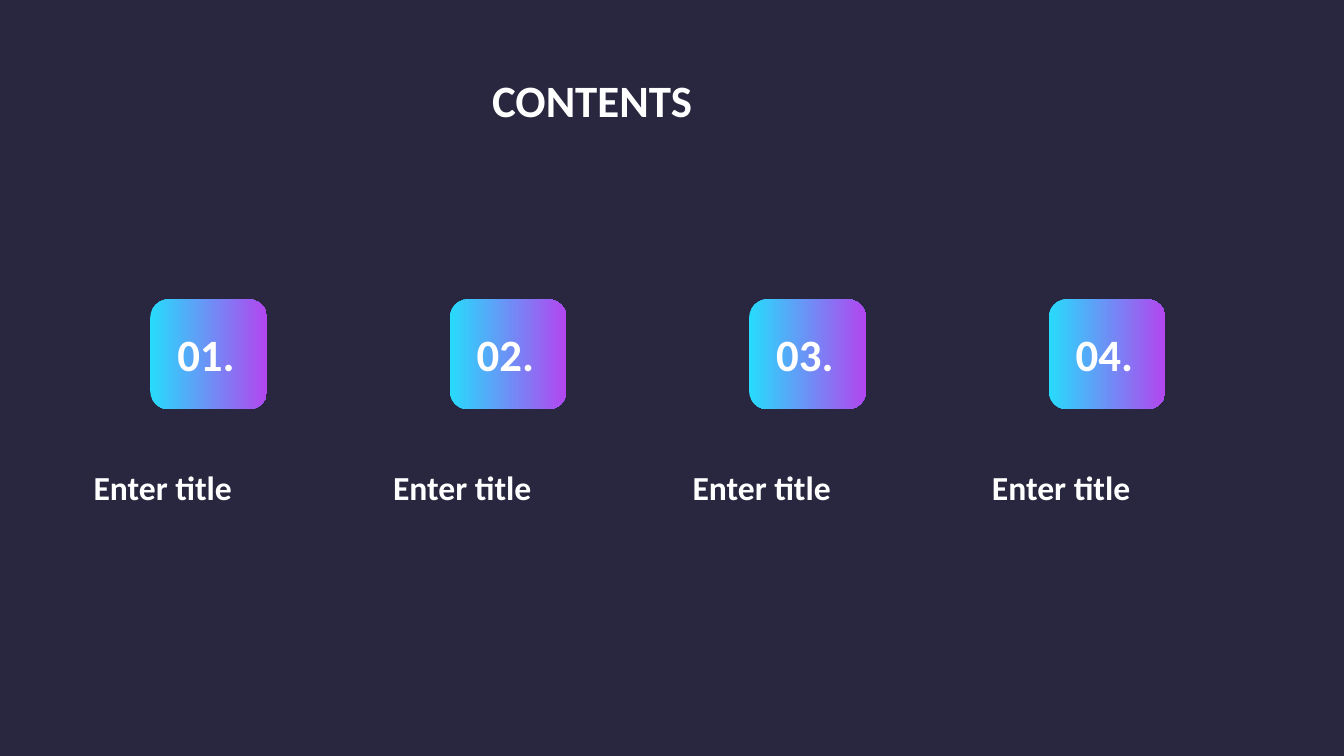
from pptx import Presentation
from pptx.dml.color import RGBColor
from pptx.enum.shapes import MSO_SHAPE
from pptx.enum.text import MSO_ANCHOR, MSO_AUTO_SIZE, PP_ALIGN
from pptx.util import Inches, Pt

FONT = "Calibri"
NAVY, WHITE, CYAN, PURPLE = "28273F", "FFFFFF", "27DBFC", "B246EF"
LEFT_MARGIN = 0.83
COLUMN_STEP = 2.97
TILE_TOP, NUMBER_TOP, CAPTION_TOP = 2.97, 3.19, 4.58
ENTRIES = ["Enter title"] * 4


def color(hex_code):
    return RGBColor.from_string(hex_code)


def place(box, left, top, width, height):
    box.left, box.top = Inches(left), Inches(top)
    box.width, box.height = Inches(width), Inches(height)


def write(box, text, size=24, bold=True, fill=WHITE, align=PP_ALIGN.JUSTIFY, wrap=True):
    frame = box.text_frame
    frame.word_wrap = wrap
    frame.auto_size = MSO_AUTO_SIZE.SHAPE_TO_FIT_TEXT
    frame.vertical_anchor = MSO_ANCHOR.TOP
    para = frame.paragraphs[0]
    para.alignment = align
    span = para.add_run()
    span.text = text
    span.font.name = FONT
    span.font.size = Pt(size)
    span.font.bold = bold
    span.font.color.rgb = color(fill)


def add_label(group, text, left, top, width, height, **style):
    box = group.shapes.add_textbox(0, 0, 0, 0)
    place(box, left, top, width, height)
    write(box, text, **style)


def add_tile(group, left, top, width, height):
    tile = group.shapes.add_shape(MSO_SHAPE.ROUNDED_RECTANGLE, 0, 0, 0, 0)
    place(tile, left, top, width, height)
    tile.shadow.inherit = False
    tile.line.fill.background()
    tile.fill.gradient()
    tile.fill.gradient_angle = 0
    for stop, position, hex_code in zip(tile.fill.gradient_stops, (0, 1), (CYAN, PURPLE)):
        stop.position = position
        stop.color.rgb = color(hex_code)


def add_entry(page, index, caption):
    left = LEFT_MARGIN + index * COLUMN_STEP
    group = page.shapes.add_group_shape()
    add_tile(group, left + 0.66, TILE_TOP, 1.16, 1.09)
    add_label(group, caption, left, CAPTION_TOP, 2.58, 0.5)
    add_label(group, f"{index + 1:02}.", left + 0.83, NUMBER_TOP, 0.81, 0.63,
              size=32, align=PP_ALIGN.LEFT, wrap=False)


def main():
    deck = Presentation()
    deck.slide_width, deck.slide_height = Inches(13.33), Inches(7.5)
    page = deck.slides.add_slide(deck.slide_layouts[5])
    page.background.fill.solid()
    page.background.fill.fore_color.rgb = color(NAVY)
    title = page.shapes.title
    place(title, 4.78, 0.67, 3.76, 0.64)
    write(title, "CONTENTS", size=32)
    for index, caption in enumerate(ENTRIES):
        add_entry(page, index, caption)
    deck.save("out.pptx")


if __name__ == "__main__":
    main()
